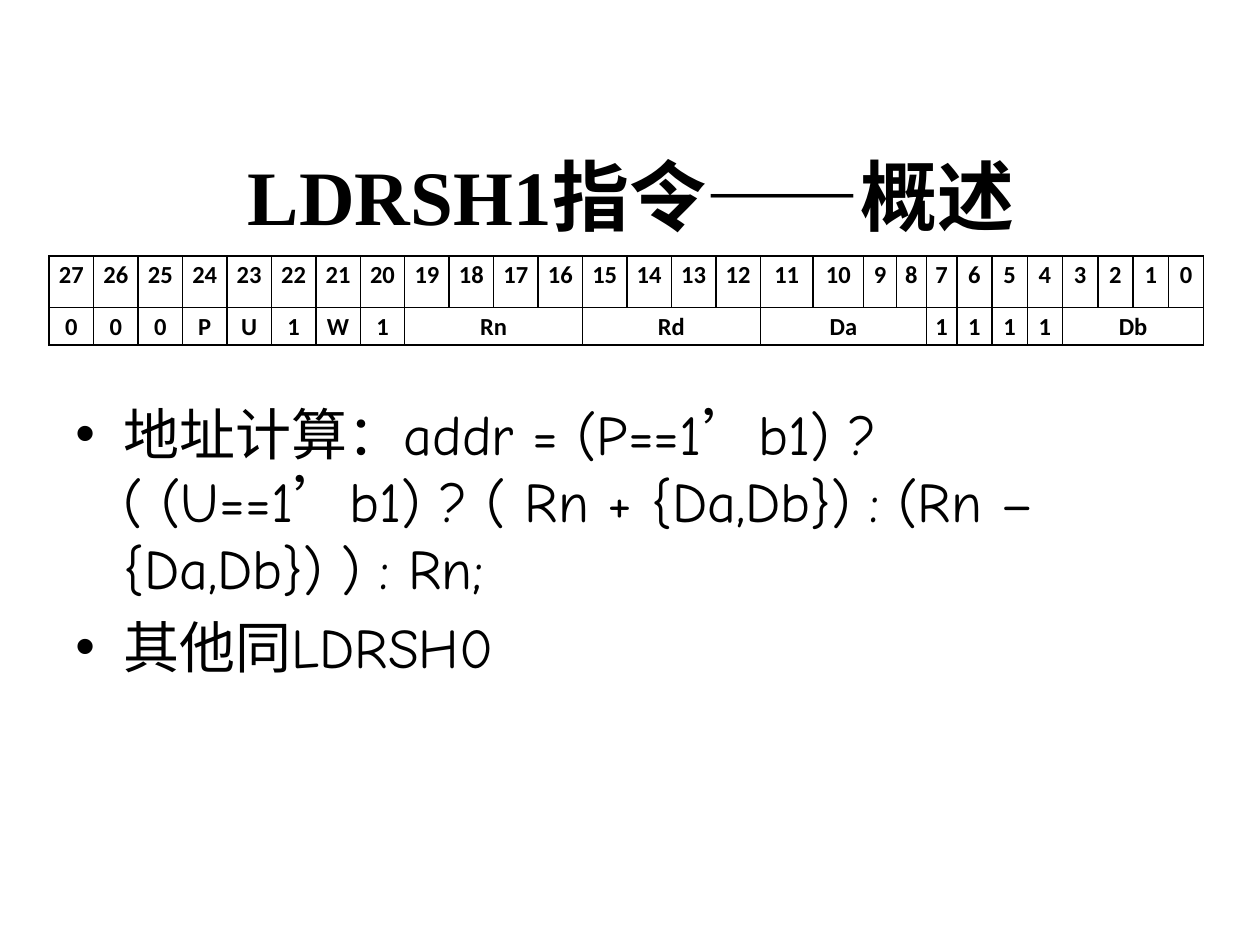
from lxml import etree
from pptx import Presentation
from pptx.dml.color import RGBColor
from pptx.enum import lang, text
from pptx.oxml.ns import qn
from pptx.util import Inches, Pt

BLACK = RGBColor(0x00, 0x00, 0x00)

BIT_WIDTHS = [0.353] * 16 + [0.42, 0.4, 0.26, 0.24, 0.24] + [0.28] * 7
# Instruction fields from the highest bit down: label, number of bits
FIELDS = [
    ("0", 1), ("0", 1), ("0", 1), ("P", 1), ("U", 1), ("1", 1), ("W", 1), ("1", 1),
    ("Rn", 4), ("Rd", 4), ("Da", 4),
    ("1", 1), ("1", 1), ("1", 1), ("1", 1), ("Db", 4),
]
NOTES = [
    "地址计算：addr = (P==1’b1) ? ( (U==1’b1) ? ( Rn + {Da,Db}) : (Rn –{Da,Db}) ) : Rn;",
    "其他同LDRSH0",
]


def style_runs(paragraph, name, size, bold=False):
    for run in paragraph.runs:
        run.font.name = name
        run.font.size = Pt(size)
        run.font.bold = bold
        run.font.color.rgb = BLACK
        run.font.language_id = lang.MSO_LANGUAGE_ID.SIMPLIFIED_CHINESE


def add_title(slide, left, top, width, height):
    frame = slide.shapes.add_textbox(left, top, width, height).text_frame
    frame.word_wrap = True
    frame.vertical_anchor = text.MSO_ANCHOR.MIDDLE
    frame.text = "LDRSH1指令——概述"
    paragraph = frame.paragraphs[0]
    paragraph.alignment = text.PP_ALIGN.CENTER
    style_runs(paragraph, "Times New Roman", 44, bold=True)


def add_bullets(slide, left, top, width, height):
    frame = slide.shapes.add_textbox(left, top, width, height).text_frame
    frame.word_wrap = True
    frame.text = "\n".join(NOTES)
    for index, paragraph in enumerate(frame.paragraphs):
        paragraph.space_before = Pt(6.4 if index else 0)
        properties = paragraph._p.get_or_add_pPr()
        properties.set("marL", str(Inches(0.38)))
        properties.set("indent", str(-Inches(0.38)))
        etree.SubElement(properties, qn("a:buFont"), typeface="Arial")
        etree.SubElement(properties, qn("a:buChar"), char="•")
        style_runs(paragraph, "Comic Neue", 32)


def set_borders(cell):
    properties = cell._tc.get_or_add_tcPr()
    for index, side in enumerate(("a:lnL", "a:lnR", "a:lnT", "a:lnB")):
        line = etree.Element(qn(side), w=str(Pt(1)))
        fill = etree.SubElement(line, qn("a:solidFill"))
        etree.SubElement(fill, qn("a:srgbClr"), val=str(BLACK))
        properties.insert(index, line)


def fill_cell(cell, label):
    cell.margin_left = cell.margin_right = Inches(0.07)
    cell.margin_top = cell.margin_bottom = 0
    cell.text = label
    paragraph = cell.text_frame.paragraphs[0]
    paragraph.alignment = text.PP_ALIGN.CENTER
    paragraph.line_spacing = 1.15
    paragraph.space_after = Pt(10)
    style_runs(paragraph, "Calibri", 14, bold=True)


def add_encoding_table(slide, left, top, width, height):
    bits = len(BIT_WIDTHS)
    table = slide.shapes.add_table(2, bits, left, top, width, height).table
    table.first_row = table.horz_banding = False
    for column, column_width in zip(table.columns, BIT_WIDTHS):
        column.width = Inches(column_width)
    table.rows[0].height = Inches(0.41)
    table.rows[1].height = height - Inches(0.41)
    for cell in table.iter_cells():
        cell.fill.background()
        set_borders(cell)

    # Bit numbers
    for column in range(bits):
        fill_cell(table.cell(0, column), str(bits - 1 - column))

    # Fields, merged over their bits
    column = 0
    for label, span in FIELDS:
        cell = table.cell(1, column)
        if span > 1:
            cell.merge(table.cell(1, column + span - 1))
        fill_cell(cell, label)
        column += span


def main():
    presentation = Presentation()
    presentation.slide_width = Inches(10)
    presentation.slide_height = Inches(7.5)
    slide = presentation.slides.add_slide(presentation.slide_layouts[6])
    add_title(slide, Inches(0.51), Inches(0.92), Inches(9), Inches(1.25))
    add_bullets(slide, Inches(0.5), Inches(3.12), Inches(9), Inches(3.57))
    add_encoding_table(slide, Inches(0.39), Inches(2.03), Inches(9.14), Inches(0.71))
    presentation.save("out.pptx")


if __name__ == "__main__":
    main()
